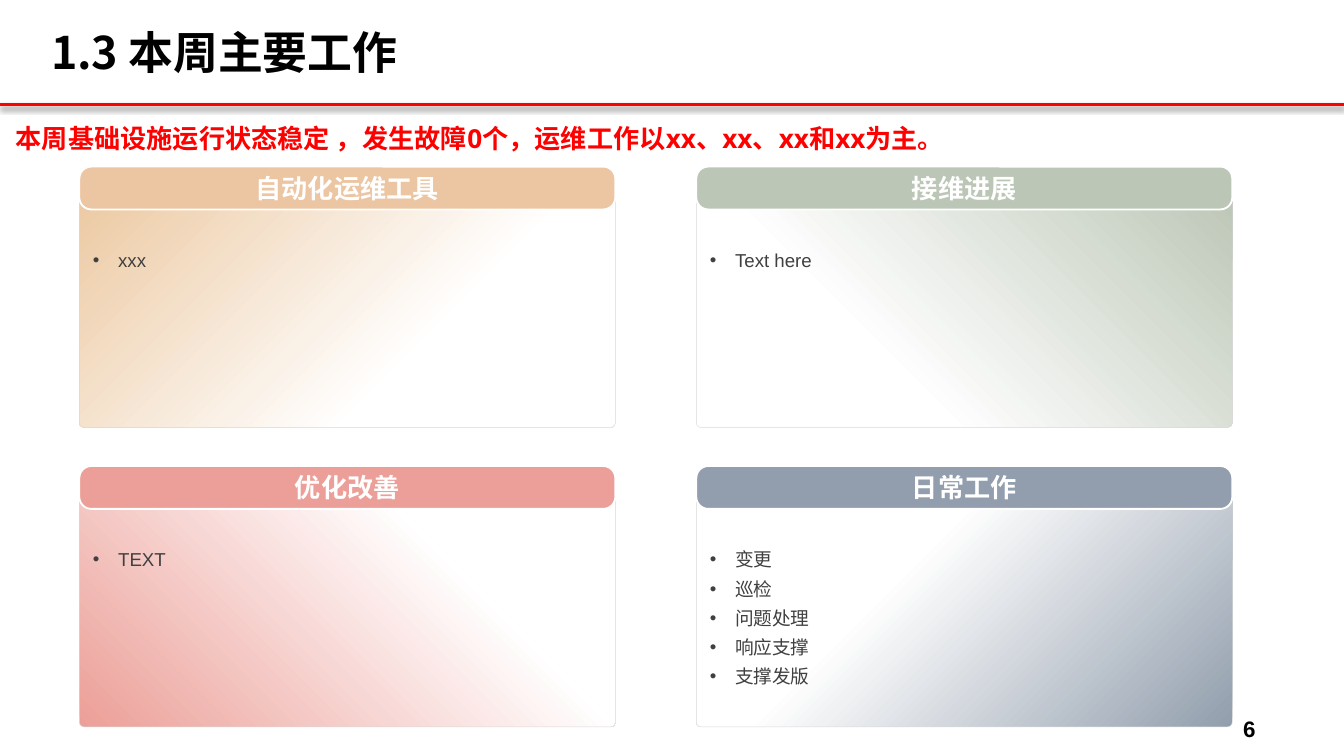
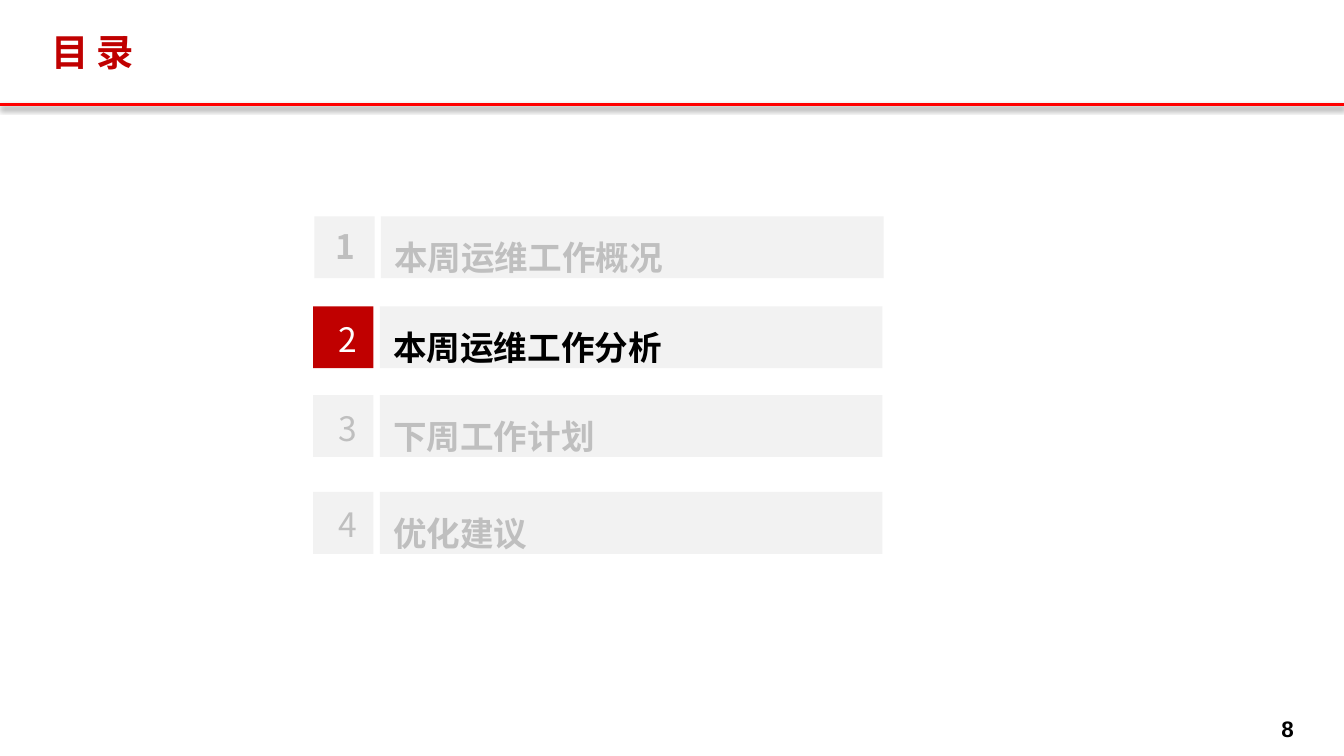
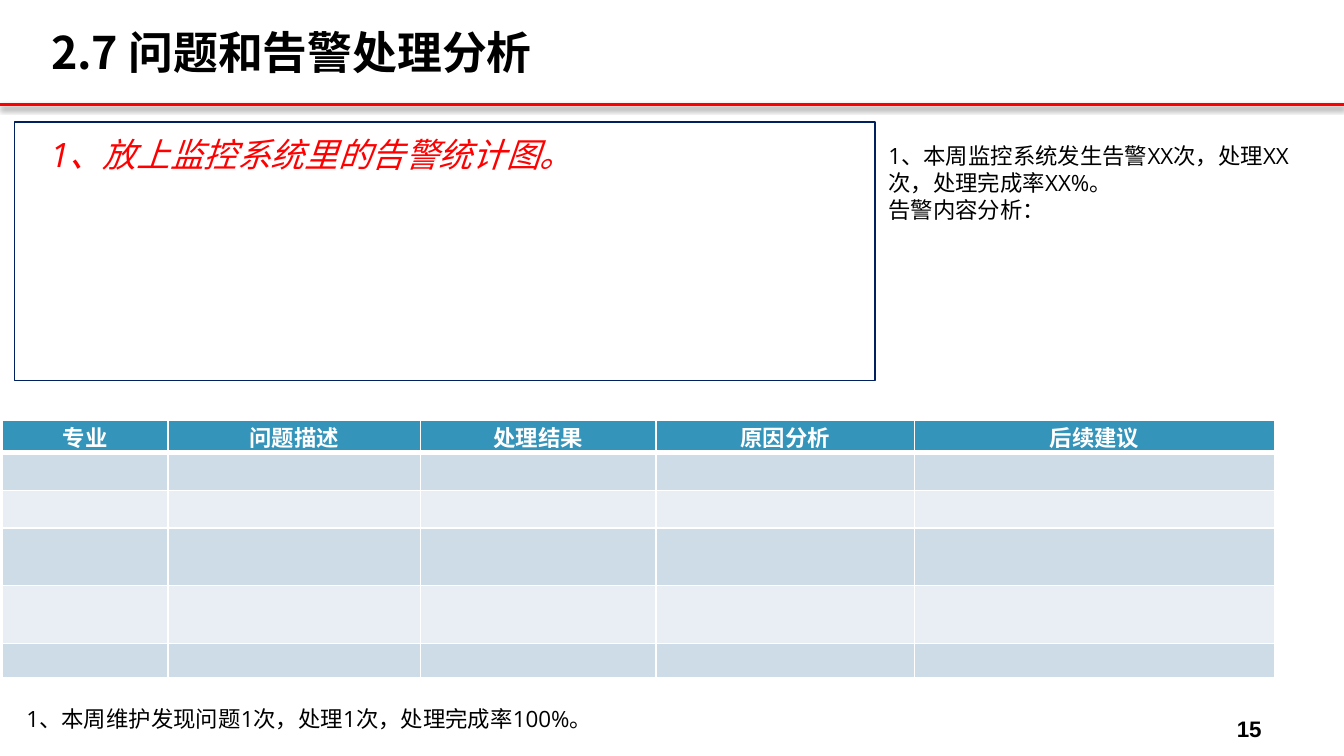
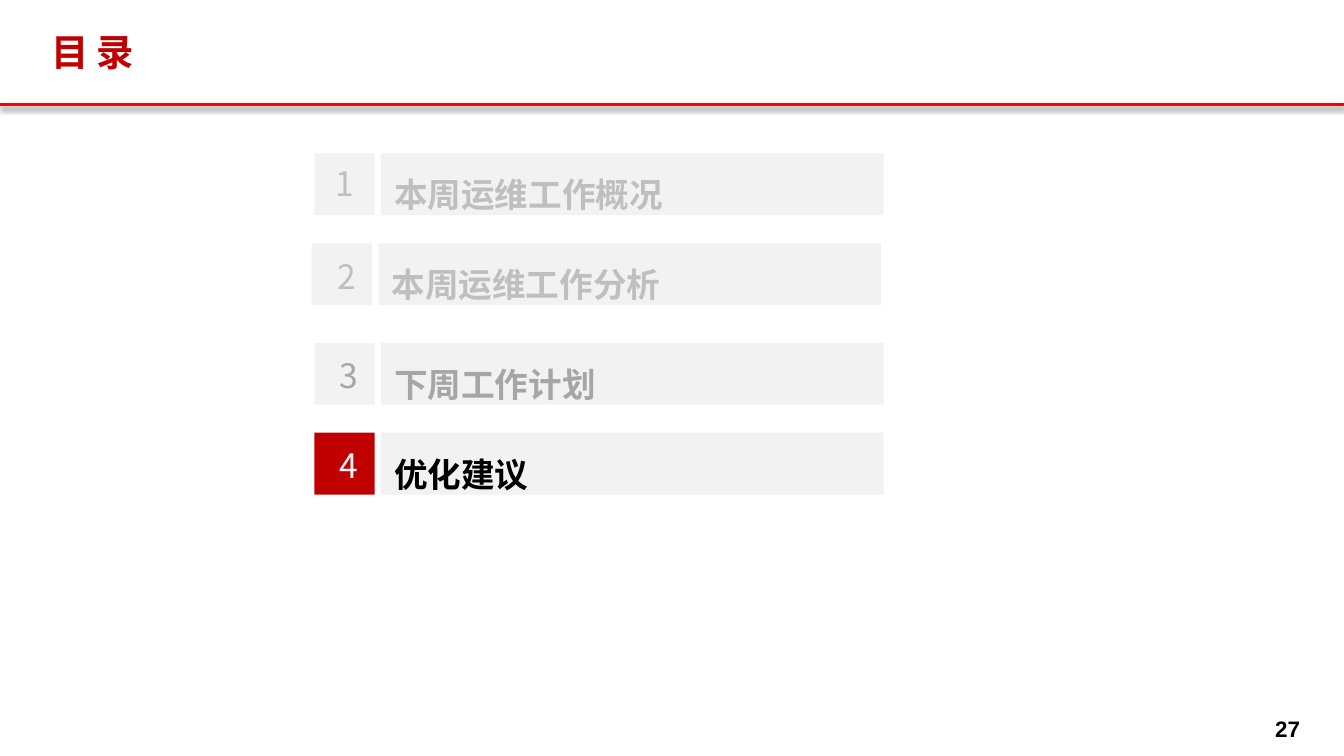
"""Build four slides of a weekly operations report."""
import pptx
import pptx.dml.color
import pptx.enum.shapes
import pptx.enum.text
import pptx.oxml
import pptx.oxml.ns
import pptx.util
from lxml import etree

Cm = pptx.util.Cm
Pt = pptx.util.Pt
RGBColor = pptx.dml.color.RGBColor
ALIGN = pptx.enum.text.PP_ALIGN
ANCHOR = pptx.enum.text.MSO_ANCHOR
SHAPE = pptx.enum.shapes.MSO_SHAPE
qn = pptx.oxml.ns.qn

BLACK = RGBColor(0x00, 0x00, 0x00)
WHITE = RGBColor(0xFF, 0xFF, 0xFF)
RED = RGBColor(0xFF, 0x00, 0x00)
DARK_RED = RGBColor(0xC0, 0x00, 0x00)
NAVY = RGBColor(0x00, 0x20, 0x60)
TEXT_GRAY = RGBColor(0x40, 0x40, 0x40)
MID_GRAY = RGBColor(0xA6, 0xA6, 0xA6)
SOFT_GRAY = RGBColor(0xBF, 0xBF, 0xBF)
EDGE_GRAY = RGBColor(0xD9, 0xD9, 0xD9)
PALE_GRAY = RGBColor(0xF2, 0xF2, 0xF2)
ORANGE = RGBColor(0xEC, 0xC5, 0xA2)
ORANGE_GLOW = RGBColor(0xEC, 0xC9, 0xA2)
PINK = RGBColor(0xEC, 0x9F, 0x98)
GREEN = RGBColor(0xBC, 0xC6, 0xB6)
SLATE = RGBColor(0x92, 0x9E, 0xAD)
TABLE_BLUE = RGBColor(0x34, 0x94, 0xBA)
BAND_DARK = RGBColor(0xCE, 0xDC, 0xE7)
BAND_LIGHT = RGBColor(0xE8, 0xEE, 0xF3)
CJK = "Noto Sans CJK SC"
SANS = "Open Sans"


def write(frame, text, size, color, font, bold=False, italic=False, align=ALIGN.LEFT, spacing=None):
    frame.text = text
    for para in frame.paragraphs:
        para.alignment = align
        para.line_spacing = spacing
        for span in para.runs:
            span.font.size = Pt(size)
            span.font.name = font
            span.font.bold = bold
            span.font.italic = italic
            span.font.color.rgb = color
            east_asian = etree.SubElement(span.font._element, qn("a:ea"))
            east_asian.set("typeface", CJK)


def add_box(shapes, kind, left, top, width, height, fill, line=None, weight=0):
    box = shapes.add_shape(kind, Cm(left), Cm(top), Cm(width), Cm(height))
    box.shadow.inherit = False
    box.fill.solid()
    box.fill.fore_color.rgb = fill
    if line is None:
        box.line.fill.background()
    else:
        box.line.color.rgb = line
        box.line.width = Pt(weight)
    return box


deck = pptx.Presentation()
deck.slide_width = Cm(25.4)
deck.slide_height = Cm(14.29)

COMPARISON, TITLE_ONLY = 4, 5
PAGES = [
    (COMPARISON, "1.3 本周主要工作", 24, BLACK, "6", 22.81, 1.6),
    (TITLE_ONLY, "目 录", 20, DARK_RED, "8", 23.6, 1.47),
    (TITLE_ONLY, "2.7 问题和告警处理分析", 24, BLACK, "15", 22.81, 1.6),
    (TITLE_ONLY, "目 录", 20, DARK_RED, "27", 23.6, 1.47),
]
pages = []
for layout, heading, size, color, number, left, width in PAGES:
    page = deck.slides.add_slide(deck.slide_layouts[layout])
    pages.append(page)
    title = page.shapes.title
    title.left, title.top, title.width, title.height = Cm(0.71), Cm(0.3), Cm(19.89), Cm(1.35)
    title.text_frame.vertical_anchor = ANCHOR.MIDDLE
    title.text_frame.auto_size = pptx.enum.text.MSO_AUTO_SIZE.NONE
    write(title.text_frame, heading, size, color, CJK, bold=True)
    properties = title.text_frame.paragraphs[0]._p.get_or_add_pPr()
    properties.set("marL", str(Cm(1.02)))
    properties.set("indent", str(-Cm(1.02)))
    page_number = page.shapes.add_textbox(Cm(left), Cm(13.39), Cm(width), Cm(0.61))
    page_number.text_frame.word_wrap = True
    write(page_number.text_frame, number, 12, BLACK, "Arial", bold=True, align=ALIGN.CENTER)

work_page, agenda_page, alarm_page, closing_agenda_page = pages

rule = work_page.shapes.add_connector(
    pptx.enum.shapes.MSO_CONNECTOR.STRAIGHT, 0, Cm(1.98), deck.slide_width, Cm(1.98))
rule.line.color.rgb = RED
rule.line.width = Pt(1.5)
deck.slide_master.shapes._spTree.append(rule._element)

LEFT_COLUMN, RIGHT_COLUMN = 1.5, 13.16
TOP_ROW, BOTTOM_ROW = 3.15, 8.81
PANELS = [
    (LEFT_COLUMN, TOP_ROW, "自动化运维工具", "xxx", ORANGE,
     [(0, WHITE), (35, WHITE), (100, ORANGE_GLOW)], "lt"),
    (LEFT_COLUMN, BOTTOM_ROW, "优化改善", "TEXT", PINK,
     [(0, WHITE), (30, WHITE), (100, PINK)], "lb"),
    (RIGHT_COLUMN, TOP_ROW, "接维进展", "Text here", GREEN,
     [(0, GREEN), (67, WHITE), (100, WHITE)], "lb"),
    (RIGHT_COLUMN, BOTTOM_ROW, "日常工作", "变更\n巡检\n问题处理\n响应支撑\n支撑发版", SLATE,
     [(0, WHITE), (37, WHITE), (100, SLATE)], "rb"),
]
bodies = [shape for shape in work_page.placeholders if shape.placeholder_format.idx > 0]
for body, (left, top, heading, items, color, stops, sides) in zip(bodies, PANELS):
    panel = add_box(work_page.shapes, SHAPE.ROUNDED_RECTANGLE, left, top + 0.46, 10.13, 4.47,
                    WHITE, EDGE_GRAY, 0.25)
    panel.adjustments[0] = 0.02
    gradient = etree.Element(qn("a:gradFill"), rotWithShape="1")
    stop_list = etree.SubElement(gradient, qn("a:gsLst"))
    for position, stop_color in stops:
        stop = etree.SubElement(stop_list, qn("a:gs"), pos=str(position * 1000))
        etree.SubElement(stop, qn("a:srgbClr"), val=str(stop_color))
    shade = etree.SubElement(gradient, qn("a:path"), path="circle")
    focus = etree.SubElement(shade, qn("a:fillToRect"))
    # The focus sits in the corner opposite to the named sides.
    horizontal, vertical = sides
    focus.set(horizontal, "100000")
    focus.set(vertical, "100000")
    panel_properties = panel._element.spPr
    panel_properties.replace(panel_properties.find(qn("a:solidFill")), gradient)

    header = add_box(work_page.shapes, SHAPE.ROUNDED_RECTANGLE, left, top, 10.13, 0.81,
                     color, WHITE, 1)
    header.adjustments[0] = 0.28
    header.text_frame.vertical_anchor = ANCHOR.MIDDLE
    header.text_frame.word_wrap = False
    write(header.text_frame, heading, 14, WHITE, "Arial", bold=True, align=ALIGN.CENTER)

    body.left, body.top, body.width, body.height = Cm(left), Cm(top + 1.3), Cm(10.13), Cm(3.63)
    body.text_frame.vertical_anchor = ANCHOR.TOP
    body.text_frame.auto_size = pptx.enum.text.MSO_AUTO_SIZE.NONE
    write(body.text_frame, items, 10, TEXT_GRAY, "Arial", align=ALIGN.JUSTIFY, spacing=1.3)
    for para in body.text_frame.paragraphs:
        para.space_before = Pt(0)
        properties = para._p.get_or_add_pPr()
        properties.set("marL", str(Cm(0.48)))
        properties.set("indent", str(-Cm(0.48)))
        etree.SubElement(properties, qn("a:buFont"), typeface="Arial")
        etree.SubElement(properties, qn("a:buChar"), char="•")
    work_page.shapes._spTree.append(body._element)

summary = work_page.shapes.add_textbox(Cm(0.05), Cm(2.18), Cm(21.41), Cm(0.86))
summary.text_frame.word_wrap = True
write(summary.text_frame, "本周基础设施运行状态稳定 ，发生故障0个，运维工作以xx、xx、xx和xx为主。",
      14, RED, SANS, bold=True)

TOPICS = ["本周运维工作概况", "本周运维工作分析", "下周工作计划", "优化建议"]
AGENDAS = [
    (agenda_page, 2, WHITE, True, [
        (5.94, 4.09, SOFT_GRAY), (5.92, 5.79, BLACK),
        (5.92, 7.47, SOFT_GRAY), (5.92, 9.3, SOFT_GRAY)]),
    (closing_agenda_page, 4, PALE_GRAY, False, [
        (5.94, 2.9, SOFT_GRAY), (5.89, 4.6, SOFT_GRAY),
        (5.94, 6.48, MID_GRAY), (5.94, 8.18, BLACK)]),
]
for page, current, current_color, first_bold, rows in AGENDAS:
    for number, (topic, (left, top, color)) in enumerate(zip(TOPICS, rows), start=1):
        group = page.shapes.add_group_shape()
        is_current = number == current
        add_box(group.shapes, SHAPE.RECTANGLE, left, top, 1.14, 1.17,
                DARK_RED if is_current else PALE_GRAY)
        label = add_box(group.shapes, SHAPE.RECTANGLE, left + 1.26, top, 9.5, 1.17, PALE_GRAY)
        label.text_frame.vertical_anchor = ANCHOR.MIDDLE
        write(label.text_frame, topic, 18, color, CJK, bold=True, spacing=1.5)
        shift, drop = (0.15, 0.05) if number == 1 else (0.23, 0.11)
        digit = group.shapes.add_textbox(Cm(left + shift), Cm(top + drop), Cm(0.89), Cm(1.02))
        digit.text_frame.word_wrap = False
        write(digit.text_frame, str(number), 18, current_color if is_current else color, CJK,
              bold=first_bold and number == 1)

add_box(alarm_page.shapes, SHAPE.RECTANGLE, 0.28, 2.31, 16.26, 4.88, WHITE, NAVY, 0.75)
NOTES = [
    (0.71, 2.41, 13.06, 1.02, "1、放上监控系统里的告警统计图。", 18, RED, True),
    (0.25, 13.21, 13.59, 0.76, "1、本周维护发现问题1次，处理1次，处理完成率100%。", 12, BLACK, False),
    (16.54, 2.57, 8.1, 1.8, "1、本周监控系统发生告警XX次，处理XX次，处理完成率XX%。\n告警内容分析：",
     12, BLACK, False),
]
for left, top, width, height, text, size, color, italic in NOTES:
    note = alarm_page.shapes.add_textbox(Cm(left), Cm(top), Cm(width), Cm(height))
    note.text_frame.word_wrap = True
    write(note.text_frame, text, size, color, SANS, italic=italic)

HEADINGS = ["专业", "问题描述", "处理结果", "原因分析", "后续建议"]
COLUMN_WIDTHS = [3.12, 4.78, 4.45, 4.88, 6.81]
ROW_HEIGHTS = [0.61, 0.71, 0.71, 1.09, 1.09, 0.66]
table = alarm_page.shapes.add_table(
    len(ROW_HEIGHTS), len(COLUMN_WIDTHS), Cm(0.05), Cm(7.95),
    Cm(sum(COLUMN_WIDTHS)), Cm(sum(ROW_HEIGHTS))).table
for column, width in zip(table.columns, COLUMN_WIDTHS):
    column.width = Cm(width)
for row_index, (row, height) in enumerate(zip(table.rows, ROW_HEIGHTS)):
    row.height = Cm(height)
    for cell, heading in zip(row.cells, HEADINGS):
        cell.margin_left = cell.margin_right = cell.margin_top = cell.margin_bottom = 0
        cell.vertical_anchor = ANCHOR.MIDDLE
        cell.fill.solid()
        if row_index == 0:
            cell.fill.fore_color.rgb = TABLE_BLUE
            write(cell.text_frame, heading, 12, WHITE, SANS, bold=True, align=ALIGN.CENTER)
        else:
            cell.fill.fore_color.rgb = BAND_DARK if row_index % 2 else BAND_LIGHT
            ending = etree.SubElement(cell.text_frame.paragraphs[0]._p, qn("a:endParaRPr"))
            ending.set("sz", "1200")
        cell_properties = cell._tc.get_or_add_tcPr()
        for place, side in enumerate(["lnL", "lnR", "lnT", "lnB"]):
            heavy = (row_index, side) in [(0, "lnB"), (1, "lnT")]
            border = etree.Element(qn("a:" + side), w=str(Pt(3 if heavy else 1)))
            border_fill = etree.SubElement(border, qn("a:solidFill"))
            etree.SubElement(border_fill, qn("a:srgbClr"), val=str(WHITE))
            cell_properties.insert(place, border)

deck.save("out.pptx")
